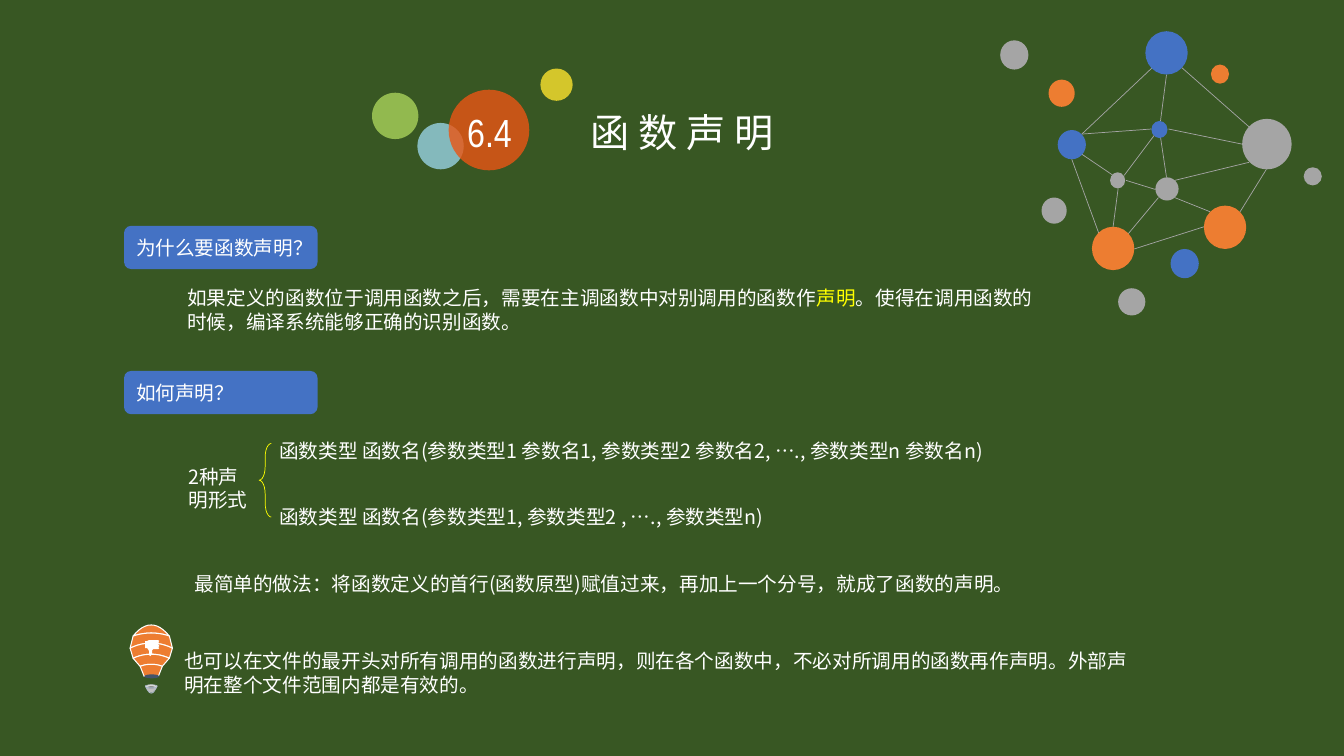
from lxml import etree
from pptx import Presentation
from pptx.dml.color import RGBColor
from pptx.enum.shapes import MSO_CONNECTOR, MSO_SHAPE as SHAPE
from pptx.enum.text import MSO_ANCHOR as ANCHOR, PP_ALIGN as ALIGN
from pptx.oxml.ns import qn
from pptx.util import Inches, Pt

THEME = dict(
    background="385723", white="FFFFFF", yellow="FFFF00",
    blue="4472C4", orange="ED7D31", gray="A5A5A5",
    font="Noto Sans CJK SC", number_font="Arial Narrow",
    title=28, body=14, leading=1.21, thin=0.5, balloon_line=0.75,
)

# Title circles: left, top, diameter, colour
TITLE_CIRCLES = [
    (5.36, 0.68, 0.32, "FBE22D"), (3.69, 0.92, 0.46, "A9D25A"),
    (4.14, 1.22, 0.46, "98D2E3"), (4.45, 0.89, 0.8, "EA5514"),
]
# Text boxes: left, top, width, height, runs of (text, colour)
PARAGRAPHS = [
    (1.76, 2.79, 8.63, 0.57, [
        ("如果定义的函数位于调用函数之后，需要在主调函数中对别调用的函数作", "white"),
        ("声明", "yellow"),
        ("。使得在调用函数的时候，编译系统能够正确的识别函数。", "white")]),
    (2.67, 4.3, 7.29, 0.34, [
        ("函数类型 函数名(参数类型1 参数名1, 参数类型2 参数名2, …., 参数类型n 参数名n)", "white")]),
    (2.67, 4.96, 5.05, 0.34, [
        ("函数类型 函数名(参数类型1, 参数类型2 , …., 参数类型n)", "white")]),
    (1.77, 4.56, 0.85, 0.57, [("2种声明形式", "white")]),
    (1.83, 5.62, 8.38, 0.34, [
        ("最简单的做法：将函数定义的首行(函数原型)赋值过来，再加上一个分号，就成了函数的声明。", "white")]),
    (1.73, 6.39, 9.73, 0.57, [
        ("也可以在文件的最开头对所有调用的函数进行声明，则在各个函数中，"
         "不必对所调用的函数再作声明。外部声明在整个文件范围内都是有效的。", "white")]),
]
HEADINGS = [(2.24, "为什么要函数声明？"), (3.68, "如何声明？")]

# Network: left, top, width, height by colour, then line ends
NODES = {
    "blue": [(11.36, 0.31, 0.42, 0.43), (10.49, 1.29, 0.28, 0.29),
             (11.42, 1.2, 0.16, 0.17), (11.61, 2.47, 0.28, 0.29)],
    "orange": [(10.83, 2.25, 0.42, 0.43), (12.01, 0.64, 0.18, 0.19),
               (11.94, 2.04, 0.42, 0.43), (10.4, 0.79, 0.26, 0.27)],
    "gray": [(11.46, 1.76, 0.23, 0.23), (12.32, 1.18, 0.49, 0.5),
             (11.01, 1.71, 0.15, 0.16), (9.92, 0.4, 0.28, 0.29),
             (11.09, 2.86, 0.27, 0.27), (10.33, 1.96, 0.25, 0.26),
             (12.93, 1.66, 0.18, 0.18)],
}
LINKS = [
    (11.72, 0.67, 12.39, 1.26), (11.65, 1.79, 12.39, 1.61),
    (12.3, 2.1, 12.56, 1.68), (11.19, 2.32, 11.49, 1.96),
    (10.73, 1.33, 11.43, 0.67), (11.51, 1.2, 11.57, 0.74),
    (12.32, 1.43, 11.59, 1.28), (11.51, 1.36, 11.57, 1.76),
    (11.65, 1.96, 12, 2.1), (10.73, 1.33, 11.42, 1.28),
    (10.63, 1.58, 10.9, 2.32), (10.73, 1.53, 11.04, 1.74),
    (11.15, 1.74, 11.45, 1.34), (11.17, 1.79, 11.46, 1.88),
    (11.04, 2.25, 11.09, 1.87), (11.25, 2.47, 11.94, 2.25),
]

# Balloon: arcs as half width, height at the ends, height in the middle
BALLOON_CENTER = 1.5
BALLOON_ARCS = [
    (0.18, 6.31, 6.2), (0.18, 6.31, 6.28), (0.21, 6.43, 6.38),
    (0.18, 6.53, 6.49), (0.11, 6.61, 6.59), (0.07, 6.71, 6.71),
]
BASKET = [
    ((0.06, 6.81, 6.81), (0.06, 6.81, 6.87), "BFBFBF"),
    ((0.06, 6.81, 6.79), (0.05, 6.82, 6.81), "D9D9D9"),
    ((0.05, 6.82, 6.81), (0.05, 6.82, 6.83), "808080"),
]
RIM = [
    ((0.06, 6.8, 6.79), (0.06, 6.81, 6.88)),
    ((0.06, 6.81, 6.79), (0.06, 6.81, 6.82)),
    ((0.05, 6.82, 6.83), (0.05, 6.82, 6.87)),
]
THUMB = [
    (1.44, 6.36), (1.46, 6.36), (1.48, 6.35), (1.57, 6.35), (1.58, 6.36),
    (1.57, 6.37), (1.58, 6.38), (1.57, 6.39), (1.58, 6.41), (1.57, 6.42),
    (1.58, 6.43), (1.57, 6.44), (1.52, 6.44), (1.51, 6.45), (1.51, 6.49),
    (1.49, 6.51), (1.48, 6.5), (1.48, 6.46), (1.46, 6.43), (1.44, 6.43),
]

presentation = Presentation()
presentation.slide_width, presentation.slide_height = Inches(13.33), Inches(7.5)
slide = presentation.slides.add_slide(presentation.slide_layouts[6])


def color(name):
    return RGBColor.from_string(THEME.get(name, name))


def paint(shape, fill=None, line=None, width=THEME["thin"], alpha=None):
    shape.shadow.inherit = False
    if fill:
        shape.fill.solid()
        shape.fill.fore_color.rgb = color(fill)
        if alpha:
            value = shape.fill._xPr.find(".//" + qn("a:srgbClr"))
            etree.SubElement(value, qn("a:alpha")).set("val", str(alpha * 1000))
    else:
        shape.fill.background()
    if line:
        shape.line.color.rgb = color(line)
        shape.line.width = Pt(width)
    else:
        shape.line.fill.background()
    return shape


def add_preset(kind, box, **style):
    return paint(slide.shapes.add_shape(kind, *map(Inches, box)), **style)


def add_outline(contours, **style):
    builder = None
    for contour in contours:
        points = [(Inches(x), Inches(y)) for x, y in contour]
        if builder is None:
            builder = slide.shapes.build_freeform(*points[0])
        else:
            builder.move_to(*points[0])
        builder.add_line_segments(points[1:], close=True)
    return paint(builder.convert_to_shape(), **style)


def arc(half, edge, middle, steps=12):
    ratios = [2 * i / steps - 1 for i in range(steps + 1)]
    return [(BALLOON_CENTER + half * t, middle + (edge - middle) * t * t)
            for t in ratios]


def band(upper, lower):
    return arc(*upper) + arc(*lower)[::-1]


def write(shape, runs, size=THEME["body"], font=THEME["font"],
          align=ALIGN.LEFT, anchor=ANCHOR.TOP, inset=None):
    frame = shape.text_frame
    frame.word_wrap = True
    frame.vertical_anchor = anchor
    if inset is not None:
        frame.margin_left = frame.margin_right = Inches(inset)
        frame.margin_top = frame.margin_bottom = Inches(inset)
    paragraph = frame.paragraphs[0]
    paragraph.alignment = align
    paragraph.line_spacing = Pt(round(size * THEME["leading"], 1))
    for text, tint in runs:
        run = paragraph.add_run()
        run.text = text
        run.font.size, run.font.name = Pt(size), font
        run.font.color.rgb = color(tint)
        east_asian = etree.SubElement(run._r.get_or_add_rPr(), qn("a:ea"))
        east_asian.set("typeface", font)


def add_text(box, runs, **style):
    write(slide.shapes.add_textbox(*map(Inches, box)), runs, **style)


# Background and title
slide.background.fill.solid()
slide.background.fill.fore_color.rgb = color("background")
for left, top, diameter, tint in TITLE_CIRCLES:
    add_preset(SHAPE.OVAL, (left, top, diameter, diameter), fill=tint, alpha=80)
add_text((4.57, 1.07, 0.57, 0.47), [("6.4", "white")], size=THEME["title"],
         font=THEME["number_font"], align=ALIGN.CENTER, inset=0)
add_text((5.76, 1.02, 2.12, 0.57), [("函 数 声 明", "white")], size=THEME["title"])

# Body text and brace
for *box, runs in PARAGRAPHS:
    add_text(box, runs)
brace = add_preset(SHAPE.LEFT_BRACE, (2.57, 4.4, 0.12, 0.73), line="yellow")
brace.adjustments[0], brace.adjustments[1] = 1.14, 0.5

# Network
for x1, y1, x2, y2 in LINKS:
    link = slide.shapes.add_connector(
        MSO_CONNECTOR.STRAIGHT, *map(Inches, (x1, y1, x2, y2)))
    link.line.color.rgb = color("gray")
    link.line.width = Pt(THEME["thin"])
    etree.SubElement(link._element.spPr, qn("a:effectLst"))
for tint, boxes in NODES.items():
    for box in boxes:
        add_preset(SHAPE.OVAL, box, fill=tint)

# Balloon
for upper, lower in zip(BALLOON_ARCS, BALLOON_ARCS[1:]):
    add_outline([band(upper, lower)], fill="orange", line="white",
                width=THEME["balloon_line"])
for upper, lower, tint in BASKET:
    add_outline([band(upper, lower)], fill=tint)
add_preset(SHAPE.OVAL, (1.43, 6.69, 0.15, 0.04), fill="44546A")
add_outline([band(*arcs) for arcs in RIM], fill="ADB9CA")
add_outline([THUMB], fill="white")

# Headings
for top, text in HEADINGS:
    heading = add_preset(SHAPE.ROUNDED_RECTANGLE, (1.23, top, 1.92, 0.43), fill="blue")
    write(heading, [(text, "white")], anchor=ANCHOR.MIDDLE)

presentation.save("out.pptx")
